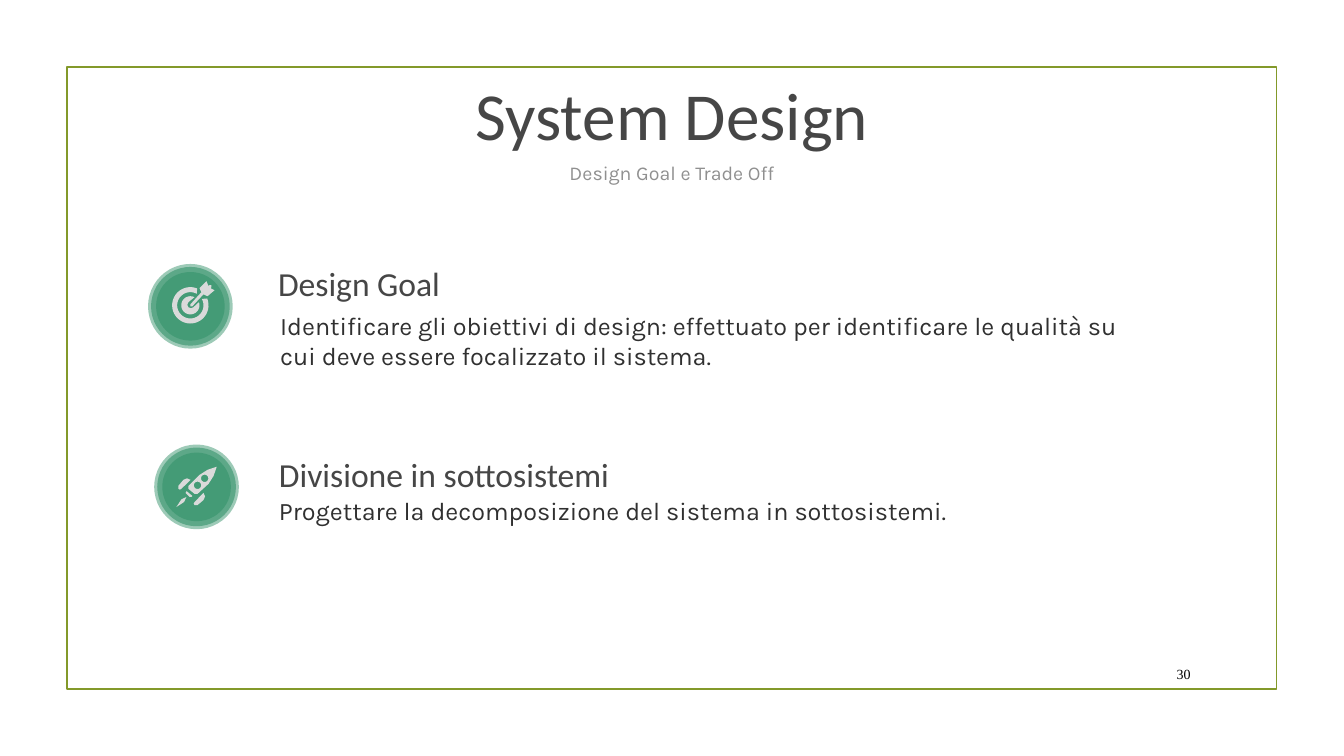
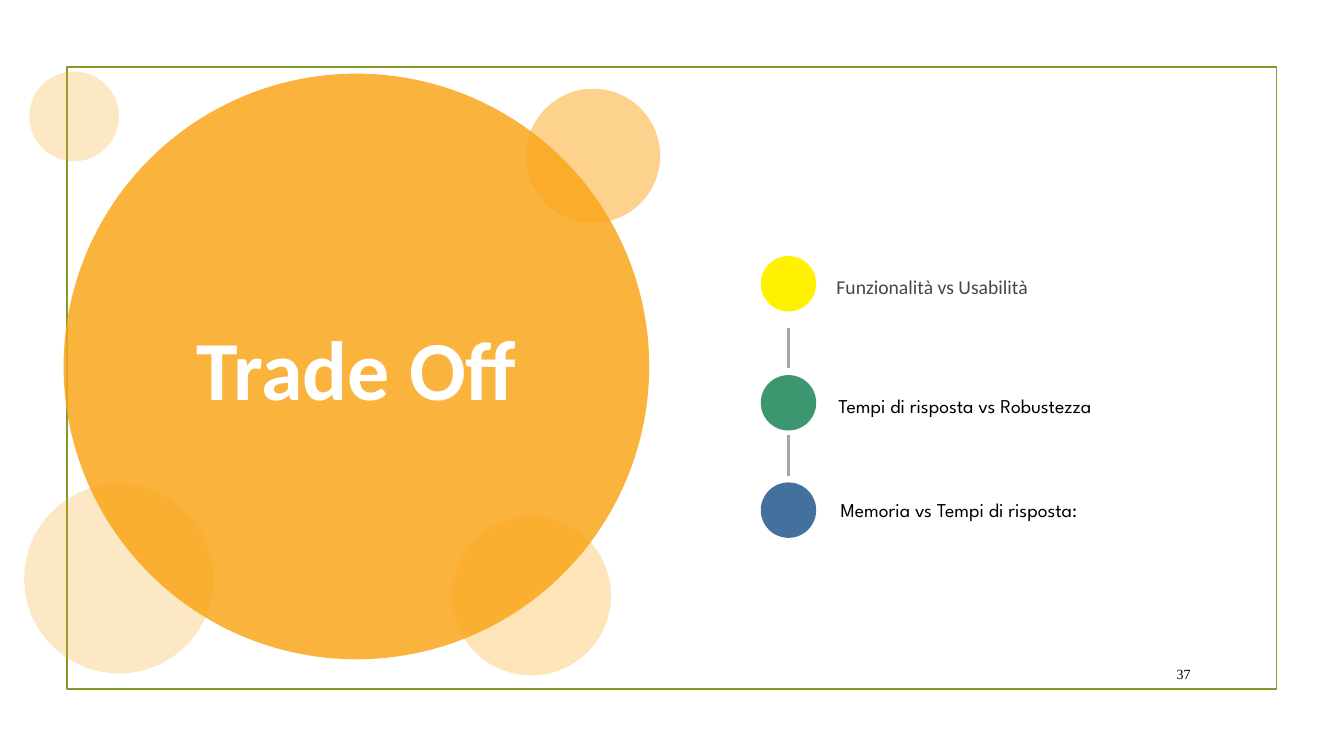
from dataclasses import dataclass
from math import cos, radians, sin

from lxml.etree import SubElement
from pptx import Presentation
from pptx.dml.color import RGBColor
from pptx.enum.shapes import MSO_CONNECTOR, MSO_SHAPE
from pptx.enum.text import MSO_ANCHOR as Anchor, PP_ALIGN as Align
from pptx.oxml.ns import qn
from pptx.shapes.autoshape import Shape
from pptx.slide import Slide
from pptx.util import Pt

WHITE = RGBColor(0xFF, 0xFF, 0xFF)
BLACK = RGBColor(0x00, 0x00, 0x00)
OLIVE = RGBColor(0x83, 0x99, 0x2A)
DARK = RGBColor(0x46, 0x46, 0x46)
BODY = RGBColor(0x30, 0x30, 0x30)
GREY = RGBColor(0x90, 0x90, 0x90)
RULE = RGBColor(0xA6, 0xA6, 0xA6)
SILVER = RGBColor(0xDA, 0xDA, 0xDA)
GREEN = RGBColor(0x3C, 0x97, 0x70)
BLUE = RGBColor(0x44, 0x70, 0x9D)
YELLOW = RGBColor(0xFF, 0xF2, 0x00)
ORANGE = RGBColor(0xFA, 0xA6, 0x1A)

Point = tuple[float, float]
Outline = list[Point]


@dataclass(frozen=True)
class Style:
    font: str
    size: float
    color: RGBColor
    bold: bool = False
    align: Align = Align.LEFT
    anchor: Anchor = Anchor.TOP


TITLE = Style("Calibri", 48, DARK, align=Align.CENTER, anchor=Anchor.MIDDLE)
SUBTITLE = Style("Karla", 14, GREY, align=Align.CENTER)
HEADING = Style("Calibri", 24, DARK)
PARAGRAPH = Style("Karla", 18, BODY)
BUBBLE_TITLE = Style("Calibri", 60, WHITE, True, Align.CENTER, Anchor.MIDDLE)
LABEL = Style("League Spartan", 14, BLACK)
FIRST_LABEL = Style("Calibri", 14, DARK)
NUMBER = Style("Times New Roman", 10, BLACK, align=Align.RIGHT, anchor=Anchor.MIDDLE)


@dataclass(frozen=True)
class Topic:
    heading: str
    heading_at: Point
    text: str
    text_at: Point
    text_width: float
    icon_center: Point
    icon: list[list[Outline]]


@dataclass(frozen=True)
class Bubble:
    left: float
    top: float
    size: float
    opacity: int


@dataclass(frozen=True)
class Step:
    text: str
    center_y: float
    color: RGBColor
    label_at: Point
    style: Style


def arc(center: Point, radius: float, start: float = 0, end: float = 360) -> Outline:
    """Points along an arc; degrees run clockwise from the right."""
    count = 36
    angles = [radians(start + (end - start) * i / count) for i in range(count + 1)]
    return [(center[0] + radius * cos(a), center[1] + radius * sin(a)) for a in angles]


def mirrored(outline: Outline) -> Outline:
    """Reflect across the rising diagonal."""
    return [(-y, -x) for x, y in outline]


# Each icon is a list of shapes, each shape a list of outlines around the disc centre.
EYE = (0, -0.7)
TARGET_ICON = [
    [arc(EYE, 13, -22, 292) + arc(EYE, 9.4, 299, -29)],
    [[(15.1, -15.1), (13.7, -15.1), (13, -14.4), (11.5, -18), (6.5, -13),
      (7.9, -10.1), (0, -1.4), (0, 0), (1.4, 0), (9.4, -8.6), (12.2, -7.2),
      (17.3, -11.5), (14.4, -13), (15.1, -13.7)]],
    [arc(EYE, 6.5, -20, 297) + [(-1.4, -2.9), (-2.2, -1), (-1.4, 0.7), (0.4, 1.4), (2.2, 0.7)]],
]
FIN = [(-10.8, 1.4), (-4.3, -5), (-6.8, -6.1), (-9.4, -5), (-13, -0.7), (-13, 1.4), (-11.9, 2)]
ROCKET_ICON = [
    [[(7.9, -12.2), (2.2, -8.6), (-5.8, -0.7), (-5.8, 1.4), (-1.4, 5), (0.7, 5),
      (8.6, -2.2), (12.2, -7.9), (14.4, -14.4)],
     arc((0.7, -1.1), 2.6), arc((5.8, -6.1), 2.6)],
    [FIN],
    [mirrored(FIN)],
    [[(-7.2, 3.6), (-7.9, 4.3), (-5, 7.2), (-3.6, 7.2), (-2.9, 6.5), (-7.2, 2.9)]],
    [[(-14.4, 14.4), (-8.9, 10.8), (-7.2, 7.2), (-10.8, 8.9)]],
]

TOPICS = [
    Topic("Design Goal", (191.5, 184.3),
          "Identificare gli obiettivi di design: effettuato per identificare le qualità su "
          "cui deve essere focalizzato il sistema.",
          (193, 218.2), 641.5, (136, 218.8), TARGET_ICON),
    Topic("Divisione in sottosistemi", (192.2, 320.4),
          "Progettare la decomposizione del sistema in sottosistemi.",
          (192.2, 350.6), 702.7, (140.4, 347.8), ROCKET_ICON),
]
DISC_LAYERS = [(60.5, 50), (56.2, 65), (49, 75)]

BUBBLES = [
    Bubble(375.8, 63.4, 95.8, 50),
    Bubble(45.4, 52.6, 418.3, 85),
    Bubble(322.6, 368.6, 113.8, 30),
    Bubble(17.3, 345.6, 135.4, 25),
    Bubble(20.9, 51.1, 64.1, 25),
]

STEPS = [
    Step("Funzionalità vs Usabilità", 202.7, YELLOW, (590.4, 193), FIRST_LABEL),
    Step("Tempi di risposta vs Robustezza", 287.7, GREEN, (591.8, 277.9), LABEL),
    Step("Memoria vs Tempi di risposta:", 364.4, BLUE, (593.3, 352.1), LABEL),
]
STEP_X, STEP_SIZE = 563.2, 39.6
LINK_LENGTH, LINK_GAP = 28.8, 4.8


def add_text(page: Slide, text: str, at: Point, width: float, height: float, style: Style) -> None:
    box = page.shapes.add_textbox(Pt(at[0]), Pt(at[1]), Pt(width), Pt(height))
    frame = box.text_frame
    frame.word_wrap = True
    frame.vertical_anchor = style.anchor
    frame.text = text
    para = frame.paragraphs[0]
    para.alignment = style.align
    font = para.runs[0].font
    font.name, font.size, font.bold = style.font, Pt(style.size), style.bold
    font.color.rgb = style.color


def paint(shape: Shape, color: RGBColor, opacity: int = 100) -> None:
    """Flat fill without outline or shadow; opacity in percent."""
    shape.shadow.inherit = False
    shape.line.fill.background()
    shape.fill.solid()
    shape.fill.fore_color.rgb = color
    if opacity < 100:
        swatch = shape._element.spPr.find(qn("a:solidFill")).find(qn("a:srgbClr"))
        SubElement(swatch, qn("a:alpha")).set("val", str(opacity * 1000))


def add_circle(page: Slide, center: Point, size: float, color: RGBColor, opacity: int = 100) -> None:
    left, top = (value - size / 2 for value in center)
    circle = page.shapes.add_shape(MSO_SHAPE.OVAL, Pt(left), Pt(top), Pt(size), Pt(size))
    paint(circle, color, opacity)


def add_icon(page: Slide, center: Point, icon: list[list[Outline]]) -> None:
    for size, opacity in DISC_LAYERS:
        add_circle(page, center, size, GREEN, opacity)
    for outlines in icon:
        placed = [[(Pt(center[0] + x), Pt(center[1] + y)) for x, y in outline]
                  for outline in outlines]
        builder = page.shapes.build_freeform(*placed[0][0])
        builder.add_line_segments(placed[0][1:], close=True)
        for hole in placed[1:]:
            builder.move_to(*hole[0])
            builder.add_line_segments(hole[1:], close=True)
        paint(builder.convert_to_shape(), SILVER)


def add_link(page: Slide, top: float) -> None:
    line = page.shapes.add_connector(
        MSO_CONNECTOR.STRAIGHT, Pt(STEP_X), Pt(top), Pt(STEP_X), Pt(top + LINK_LENGTH))
    line.line.color.rgb = RULE
    line.line.width = Pt(1.5)
    SubElement(line._element.spPr, qn("a:effectLst"))


def add_page(deck: Presentation, number: int) -> Slide:
    """Blank page with the olive frame and its page number."""
    page = deck.slides.add_slide(deck.slide_layouts[6])
    frame = page.shapes.add_shape(MSO_SHAPE.RECTANGLE, Pt(47.8), Pt(48), Pt(864), Pt(444))
    frame.shadow.inherit = False
    frame.fill.background()
    frame.line.color.rgb = OLIVE
    frame.line.width = Pt(1.25)
    add_text(page, str(number), (815, 470), 42.5, 22.3, NUMBER)
    return page


def build_system_design(deck: Presentation) -> None:
    page = add_page(deck, 30)
    add_text(page, "System Design", (66, 48), 828, 66, TITLE)
    add_text(page, "Design Goal e Trade Off", (66, 111.6), 828, 21, SUBTITLE)
    for topic in TOPICS:
        add_text(page, topic.heading, topic.heading_at, 314, 31, HEADING)
        add_text(page, topic.text, topic.text_at, topic.text_width, 45, PARAGRAPH)
        add_icon(page, topic.icon_center, topic.icon)


def build_trade_off(deck: Presentation) -> None:
    page = add_page(deck, 37)
    for index, step in enumerate(STEPS):
        add_circle(page, (STEP_X, step.center_y), STEP_SIZE, step.color)
        add_text(page, step.text, step.label_at, 240, 24, step.style)
        if index:
            add_link(page, step.center_y - STEP_SIZE / 2 - LINK_GAP - LINK_LENGTH)
    for bubble in BUBBLES:
        center = (bubble.left + bubble.size / 2, bubble.top + bubble.size / 2)
        add_circle(page, center, bubble.size, ORANGE, bubble.opacity)
    add_text(page, "Trade Off", (48.2, 196.6), 412.6, 130.3, BUBBLE_TITLE)


def main() -> None:
    deck = Presentation()
    deck.slide_width, deck.slide_height = Pt(960), Pt(540)
    build_system_design(deck)
    build_trade_off(deck)
    deck.save("out.pptx")


if __name__ == "__main__":
    main()
